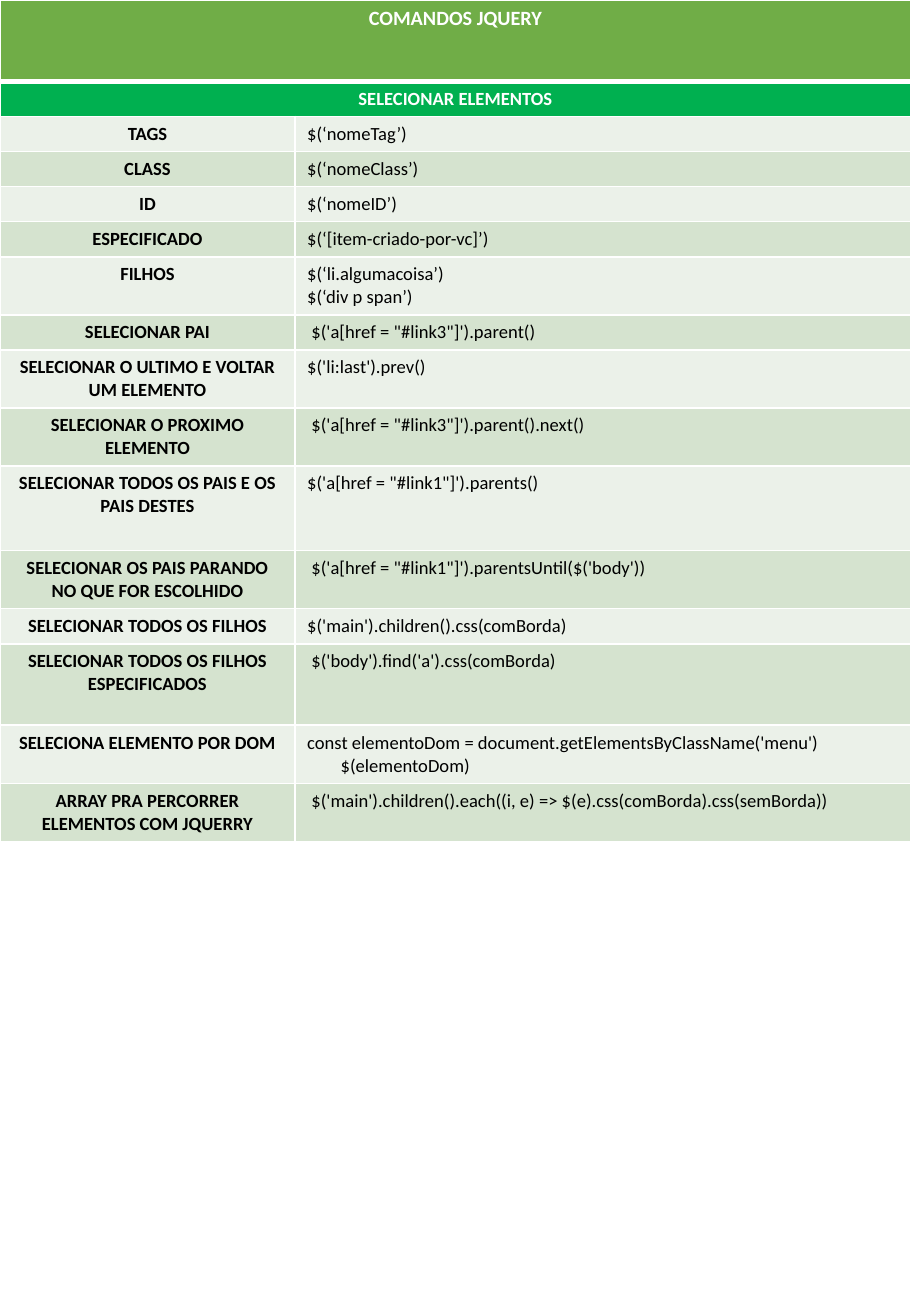
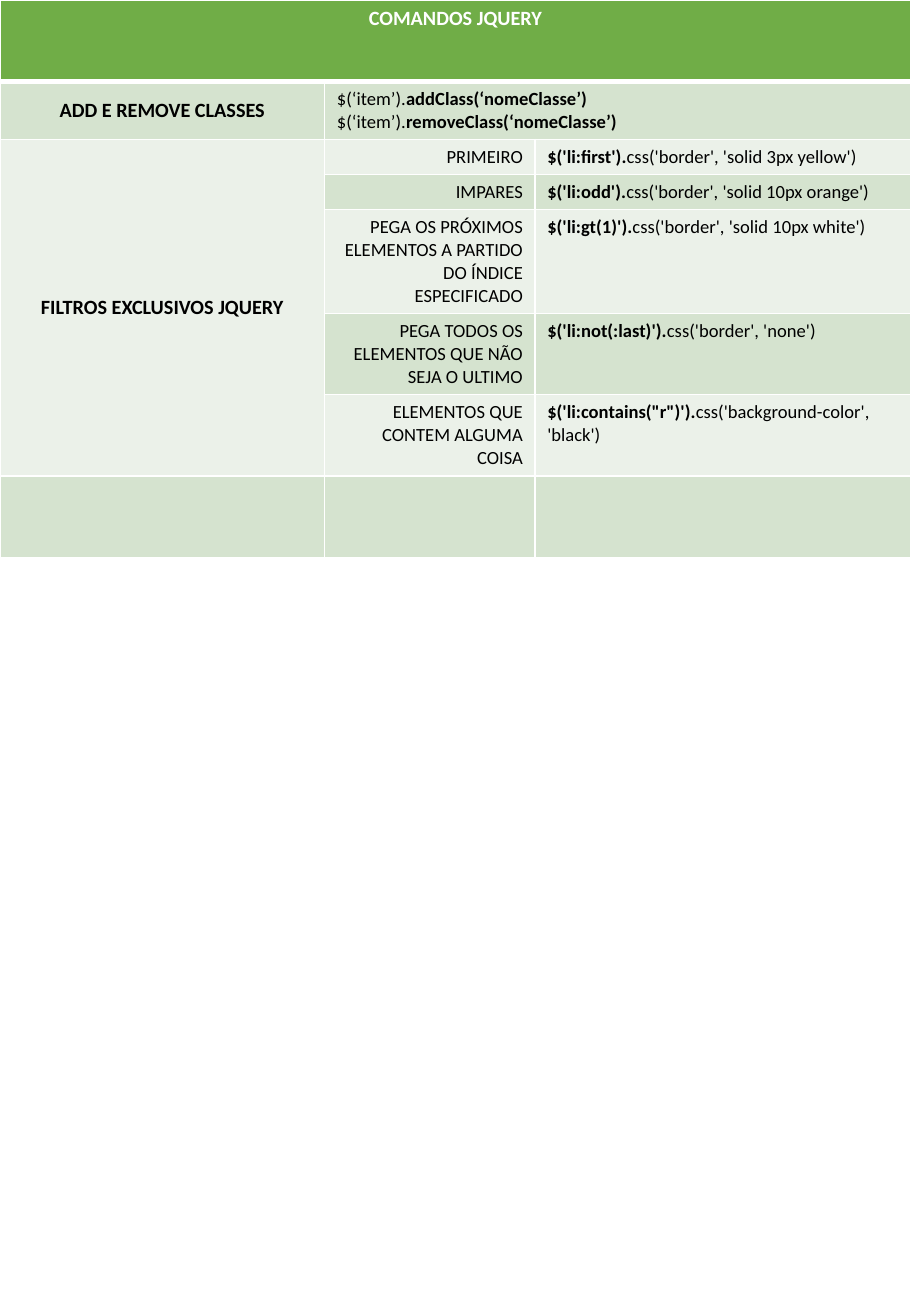
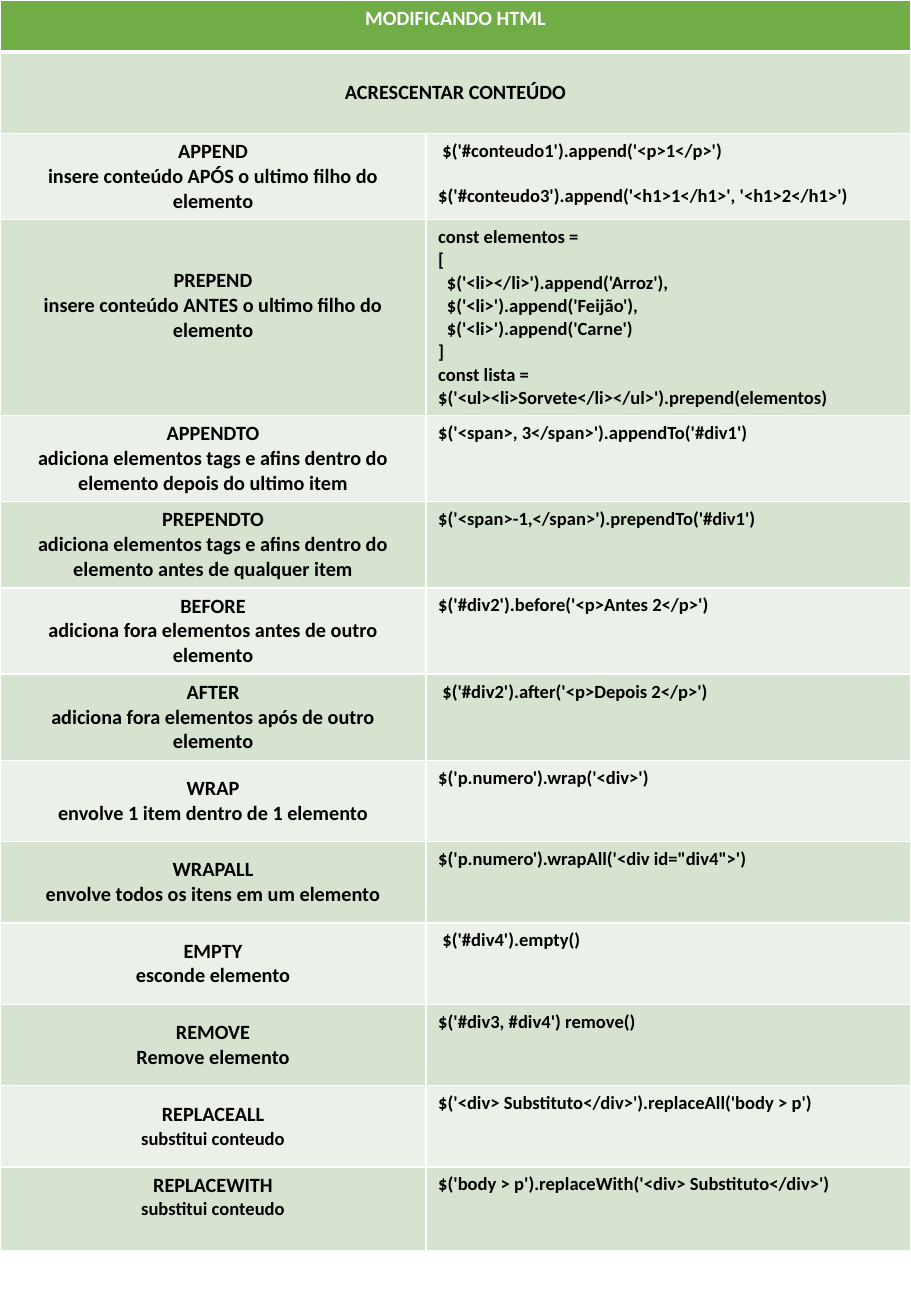
"""Build three reference sheets of jQuery commands, one table per slide."""
from dataclasses import dataclass
from typing import Optional

from lxml.etree import SubElement
from pptx import Presentation
from pptx.dml.color import RGBColor
from pptx.enum.text import MSO_ANCHOR, PP_ALIGN
from pptx.oxml.ns import qn
from pptx.util import Cm, Pt

SLIDE_WIDTH, SLIDE_HEIGHT = 19.05, 27.51
FONT = "Calibri"
WHITE, BLACK = "FFFFFF", "000000"
TITLE_GREEN, SECTION_GREEN = "70AD47", "00B050"
BANDS = ("EBF1E9", "D5E3CF")
BORDER, TITLE_BORDER = 1, 3
ONE_LINE, TWO_LINES, STANDARD, FOUR_LINES = 0.73, 1.21, 1.7, 2.17
LABEL_ROW = 1.8
BLANK_LINE = 0.5


@dataclass(frozen=True)
class Style:
    """Text format of a cell; the tail of a line has the opposite weight."""
    align: PP_ALIGN = PP_ALIGN.LEFT
    anchor: MSO_ANCHOR = MSO_ANCHOR.TOP
    size: int = 11
    bold: bool = False
    color: str = BLACK


@dataclass(frozen=True)
class Line:
    """One paragraph, split where its weight changes."""
    lead: str
    tail: str = ""
    indent: float = 0
    space_before: float = 0
    size: Optional[int] = None


@dataclass(frozen=True)
class Cell:
    """Lines in one style."""
    style: Style
    lines: tuple[Line, ...] = ()
    row_span: int = 1
    extra_bottom: float = 0


@dataclass(frozen=True)
class Row:
    """A table row; its last cell reaches the right edge."""
    height: float
    cells: tuple[Optional[Cell], ...]
    fill: Optional[str] = None


@dataclass(frozen=True)
class Sheet:
    """Rows of one slide and the widths of all columns but the last."""
    widths: tuple[float, ...]
    rows: tuple[Row, ...]


TITLE = Style(PP_ALIGN.CENTER, size=12, bold=True, color=WHITE)
SECTION = Style(PP_ALIGN.CENTER, bold=True, color=WHITE)
NAME = Style(PP_ALIGN.CENTER, bold=True)
LABEL = Style(PP_ALIGN.CENTER, MSO_ANCHOR.MIDDLE, 12, True)
FILTER = Style(PP_ALIGN.RIGHT, MSO_ANCHOR.MIDDLE)
CODE = Style()
BOLD_CODE = Style(bold=True)


def cell(style: Style, *lines: str | Line, row_span: int = 1, extra_bottom: float = 0) -> Cell:
    """Make a cell from strings or lines."""
    made = tuple(Line(line) if isinstance(line, str) else line for line in lines)
    return Cell(style, made, row_span, extra_bottom)


def title_row(text: str, height: float = STANDARD) -> Row:
    """Make the title band of a sheet."""
    return Row(height, (cell(TITLE, text),), TITLE_GREEN)


def selector_row(name: str, *code: str | Line, height: float = ONE_LINE) -> Row:
    """Make a row with a selector name and its code."""
    return Row(height, (cell(NAME, name), cell(CODE, *code)))


def filter_row(name: str, lead: str, tail: str, height: float = ONE_LINE,
               group: Optional[Cell] = None) -> Row:
    """Make a filter row, with the group cell on the first one."""
    return Row(height, (group, cell(FILTER, name), cell(BOLD_CODE, Line(lead, tail))))


def method_row(name: str, description: str, *code: str | Line, height: float = STANDARD,
               size: Optional[int] = None, extra_bottom: float = 0) -> Row:
    """Make a row with a described method and its code."""
    label = cell(LABEL, name, Line(description, size=size), extra_bottom=extra_bottom)
    return Row(height, (label, cell(BOLD_CODE, *code)))


SELECTORS = Sheet((6.17,), (
    title_row("COMANDOS JQUERY"),
    Row(ONE_LINE, (cell(SECTION, "SELECIONAR ELEMENTOS"),), SECTION_GREEN),
    selector_row("TAGS", "$(‘nomeTag’)"),
    selector_row("CLASS", "$(‘nomeClass’)"),
    selector_row("ID", "$(‘nomeID’)"),
    selector_row("ESPECIFICADO", "$(‘[item-criado-por-vc]’)"),
    selector_row("FILHOS", "$(‘li.algumacoisa’)", "$(‘div p span’)", height=TWO_LINES),
    selector_row("SELECIONAR PAI", " $('a[href = \"#link3\"]').parent()"),
    selector_row("SELECIONAR O ULTIMO E VOLTAR UM ELEMENTO", "$('li:last').prev()",
                 height=TWO_LINES),
    selector_row("SELECIONAR O PROXIMO ELEMENTO",
                 " $('a[href = \"#link3\"]').parent().next()", height=TWO_LINES),
    selector_row("SELECIONAR TODOS OS PAIS E OS PAIS DESTES",
                 "$('a[href = \"#link1\"]').parents()", height=1.77),
    selector_row("SELECIONAR OS PAIS PARANDO NO QUE FOR ESCOLHIDO",
                 " $('a[href = \"#link1\"]').parentsUntil($('body'))", height=TWO_LINES),
    selector_row("SELECIONAR TODOS OS FILHOS", "$('main').children().css(comBorda)"),
    selector_row("SELECIONAR TODOS OS FILHOS ESPECIFICADOS",
                 " $('body').find('a').css(comBorda)", height=STANDARD),
    selector_row("SELECIONA ELEMENTO POR DOM",
                 "const elementoDom = document.getElementsByClassName('menu')",
                 Line("$(elementoDom)", indent=0.7), height=TWO_LINES),
    selector_row("ARRAY PRA PERCORRER ELEMENTOS COM JQUERRY",
                 " $('main').children().each((i, e) => $(e).css(comBorda).css(semBorda))",
                 height=TWO_LINES),
))

FILTERS = Sheet((6.79, 4.4), (
    title_row("COMANDOS JQUERY"),
    Row(TWO_LINES, (
        cell(LABEL, "ADD E REMOVE CLASSES"),
        cell(CODE, Line("$(‘item’).", "addClass(‘nomeClasse’)"),
             Line("$(‘item’).", "removeClass(‘nomeClasse’)")),
    )),
    filter_row("PRIMEIRO", "$('li:first').", "css('border', 'solid 3px yellow')",
               group=cell(LABEL, "FILTROS EXCLUSIVOS JQUERY", row_span=5)),
    filter_row("IMPARES", "$('li:odd').", "css('border', 'solid 10px orange')"),
    filter_row("PEGA OS PRÓXIMOS ELEMENTOS A PARTIDO DO ÍNDICE ESPECIFICADO",
               "$('li:gt(1)').", "css('border', 'solid 10px white')", FOUR_LINES),
    filter_row("PEGA TODOS OS ELEMENTOS QUE NÃO SEJA O ULTIMO",
               "$('li:not(:last)').", "css('border', 'none')", STANDARD),
    filter_row("ELEMENTOS QUE CONTEM ALGUMA COISA",
               "$('li:contains(\"r\")').", "css('background-color', 'black')", STANDARD),
    Row(STANDARD, (cell(CODE),) * 3),
))

METHODS = Sheet((8.91,), (
    title_row("MODIFICANDO HTML", 1.09),
    Row(STANDARD, (cell(LABEL, "ACRESCENTAR CONTEÚDO"),)),
    method_row("APPEND", "insere conteúdo APÓS o ultimo filho do elemento",
               " $('#conteudo1').append('<p>1</p>')",
               Line("$('#conteudo3').append('<h1>1</h1>', '<h1>2</h1>')", space_before=13.4),
               height=LABEL_ROW),
    method_row("PREPEND", "insere conteúdo ANTES o ultimo filho do elemento",
               "const elementos =", "[",
               Line("$('<li></li>').append('Arroz'),", indent=0.18),
               Line("$('<li>').append('Feijão'),", indent=0.18),
               Line("$('<li>').append('Carne')", indent=0.18),
               "]", "const lista = $('<ul><li>Sorvete</li></ul>').prepend(elementos)",
               height=4.09, extra_bottom=BLANK_LINE),
    method_row("APPENDTO",
               "adiciona elementos tags e afins dentro do elemento depois do ultimo item",
               "$('<span>, 3</span>').appendTo('#div1')", height=LABEL_ROW),
    method_row("PREPENDTO",
               "adiciona elementos tags e afins dentro do elemento antes de qualquer item",
               "$('<span>-1,</span>').prependTo('#div1')", height=LABEL_ROW),
    method_row("BEFORE", "adiciona fora elementos antes de outro elemento",
               "$('#div2').before('<p>Antes 2</p>')", height=LABEL_ROW),
    method_row("AFTER", "adiciona fora elementos após de outro elemento",
               " $('#div2').after('<p>Depois 2</p>')", height=LABEL_ROW),
    method_row("WRAP", "envolve 1 item dentro de 1 elemento", "$('p.numero').wrap('<div>')"),
    method_row("WRAPALL", "envolve todos os itens em um elemento",
               "$('p.numero').wrapAll('<div id=\"div4\">')"),
    method_row("EMPTY", "esconde elemento", " $('#div4').empty()"),
    method_row("REMOVE", "Remove elemento", "$('#div3, #div4') remove()"),
    method_row("REPLACEALL", "substitui conteudo",
               "$('<div> Substituto</div>').replaceAll('body > p')", size=11),
    method_row("REPLACEWITH", "substitui conteudo",
               "$('body > p').replaceWith('<div> Substituto</div>')",
               height=1.76, size=11, extra_bottom=BLANK_LINE),
))


def set_color(color_format, color: str) -> None:
    """Apply a hex colour to a fill or font colour."""
    color_format.rgb = RGBColor.from_string(color)


def add_borders(table_cell, top: float, bottom: float) -> None:
    """Give a filled cell white borders on all sides."""
    properties = table_cell._tc.get_or_add_tcPr()
    sides = {"a:lnL": BORDER, "a:lnR": BORDER, "a:lnT": top, "a:lnB": bottom}
    for position, (tag, width) in enumerate(sides.items()):
        line = SubElement(properties, qn(tag), w=str(Pt(width)))
        SubElement(SubElement(line, qn("a:solidFill")), qn("a:srgbClr"), val=WHITE)
        properties.insert(position, line)


def write_line(paragraph, line: Line, style: Style) -> None:
    """Write a line as one or two runs."""
    paragraph.alignment = style.align
    if line.space_before:
        paragraph.space_before = Pt(line.space_before)
    if line.indent:
        paragraph._p.get_or_add_pPr().set("marL", str(Cm(line.indent)))
    for text, bold in ((line.lead, style.bold), (line.tail, not style.bold)):
        if text:
            run = paragraph.add_run()
            run.text = text
            formats = {"name": FONT, "size": Pt(line.size or style.size), "bold": bold}
            for attribute, value in formats.items():
                setattr(run.font, attribute, value)
            set_color(run.font.color, style.color)


def write_cell(table_cell, content: Cell) -> None:
    """Write the lines of a cell."""
    table_cell.vertical_anchor = content.style.anchor
    if content.extra_bottom:
        table_cell.margin_bottom += Cm(content.extra_bottom)
    frame = table_cell.text_frame
    for index, line in enumerate(content.lines):
        paragraph = frame.add_paragraph() if index else frame.paragraphs[0]
        write_line(paragraph, line, content.style)


def fill_row(table, index: int, row: Row) -> None:
    """Colour, border, merge and write one table row."""
    table.rows[index].height = Cm(row.height)
    last_column = len(table.columns) - 1
    for table_cell in table.rows[index].cells:
        table_cell.fill.solid()
        set_color(table_cell.fill.fore_color, row.fill or BANDS[index % 2])
        add_borders(table_cell, TITLE_BORDER if index == 1 else BORDER,
                    TITLE_BORDER if index == 0 else BORDER)
        SubElement(table_cell.text_frame.paragraphs[0]._p, qn("a:endParaRPr"), sz="1100")
    for column, content in enumerate(row.cells):
        if content is None:
            continue
        end_column = last_column if column == len(row.cells) - 1 else column
        end_row = index + content.row_span - 1
        table_cell = table.cell(index, column)
        if (end_row, end_column) != (index, column):
            table_cell.merge(table.cell(end_row, end_column))
        write_cell(table_cell, content)


def add_sheet(presentation, sheet: Sheet) -> None:
    """Add a slide with the table of a sheet."""
    slide = presentation.slides.add_slide(presentation.slide_layouts[6])
    widths = (*sheet.widths, SLIDE_WIDTH - sum(sheet.widths))
    height = sum(row.height for row in sheet.rows)
    table = slide.shapes.add_table(len(sheet.rows), len(widths), Cm(0), Cm(0),
                                   Cm(SLIDE_WIDTH), Cm(height)).table
    for option in ("first_row", "horz_banding"):
        setattr(table, option, False)
    for column, width in zip(table.columns, widths):
        column.width = Cm(width)
    for index, row in enumerate(sheet.rows):
        fill_row(table, index, row)


def main() -> None:
    """Build and save the presentation."""
    presentation = Presentation()
    presentation.slide_width = Cm(SLIDE_WIDTH)
    presentation.slide_height = Cm(SLIDE_HEIGHT)
    for sheet in (SELECTORS, FILTERS, METHODS):
        add_sheet(presentation, sheet)
    presentation.save("out.pptx")


if __name__ == "__main__":
    main()
